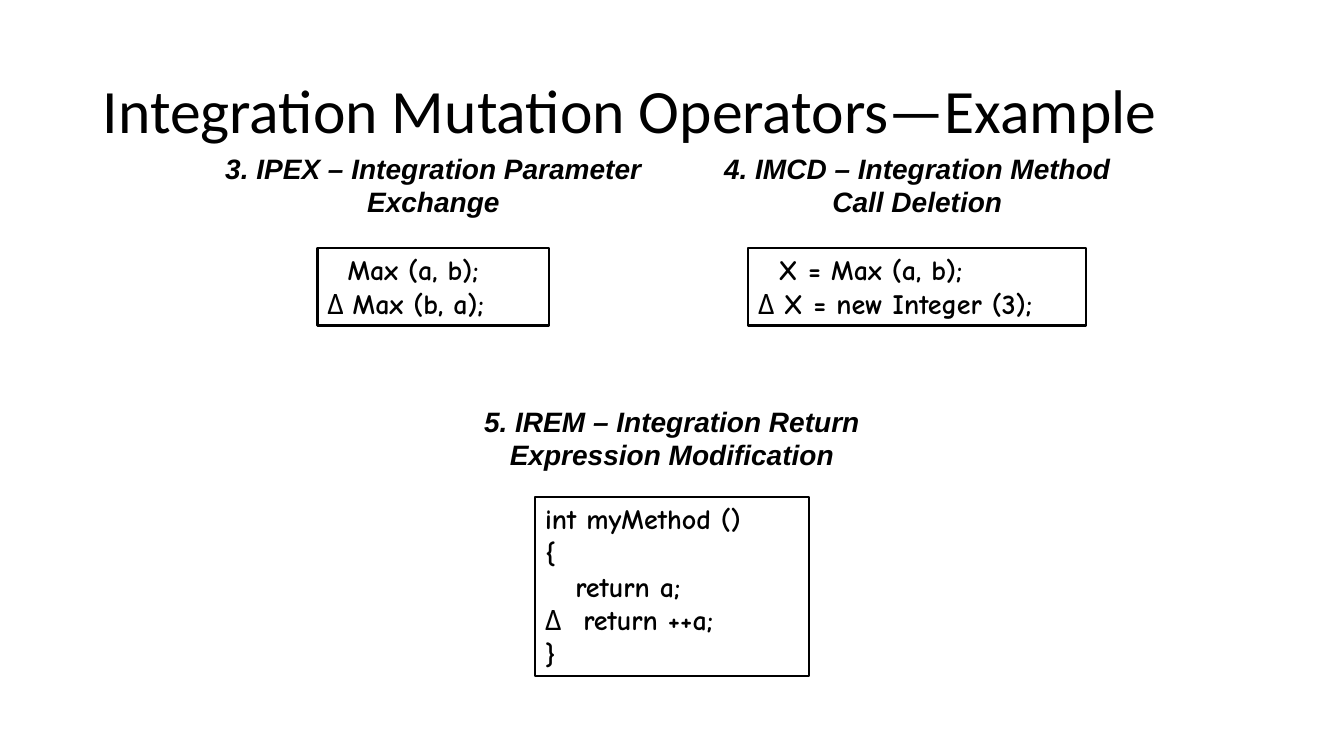
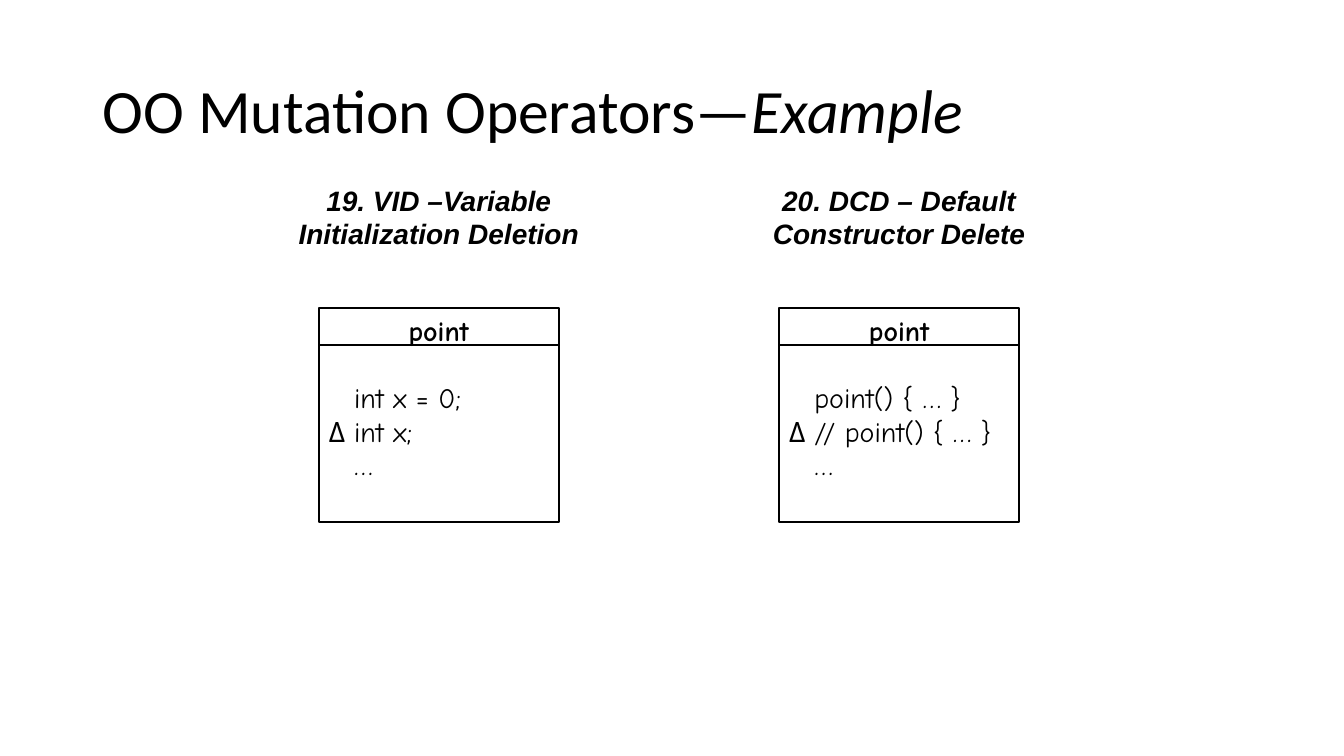
"""Build two slides of mutation operator examples."""
import pptx
import pptx.util
import pptx.dml.color
import pptx.enum.shapes
import pptx.enum.text
import pptx.oxml.ns
import lxml.etree

WIDE = pptx.util.Inches(13.33)
HIGH = pptx.util.Inches(7.5)
HUES = {"ink": "000000"}
ALIGN = pptx.enum.text.PP_ALIGN
ANCHOR = pptx.enum.text.MSO_ANCHOR
FIT = pptx.enum.text.MSO_AUTO_SIZE

TITLE = {"name": "Calibri", "size": pptx.util.Pt(44), "bold": False}
HEAD = {"name": "Arial", "size": pptx.util.Pt(20), "bold": True, "italic": True}
CODE = {"name": "Comic Neue", "size": pptx.util.Pt(20), "bold": True}
PLAIN = {**CODE, "bold": False}
FRAME = {"word_wrap": True, "auto_size": FIT.NONE}
LABEL = 10.27
BAND = 4.8
STEP = 1.88

CALLS = [
    (32.25, 19.33, 33.45, "3. IPEX – Integration Parameter Exchange",
     32.8, 17.25, LABEL,
     [("Max (a, b);", 1.5, ""), ("Max (b, a);", STEP, "Δ")]),
    (68.25, 19.33, 32.55, "4. IMCD – Integration Method Call Deletion",
     32.8, 25.15, LABEL,
     [("X = Max (a, b);", 1.5, ""), ("X = new Integer (3);", STEP, "Δ")]),
    (50, 52.8, 33.45, "5. IREM – Integration Return Expression Modification",
     65.73, 20.35, 23.73,
     [("int myMethod ()", 0, ""), ("{", 0, ""), ("return a;", 2.25, ""),
      ("return ++a;", 2.85, "Δ"), ("}", 0, "")]),
]
TYPES = [
    (32.65, 27.2, "19. VID –Variable Initialization Deletion",
     ["int x = 0;", "int x;"]),
    (66.9, 28.1, "20. DCD – Default Constructor Delete",
     ["point() { … }", "// point() { … }"]),
]


def across(share):
    return round(WIDE * share / 100)


def down(share):
    return round(HIGH * share / 100)


def spot(mid, top, width, height):
    return across(mid - width / 2), down(top), across(width), down(height)


def style(item, form):
    for key, value in form.items():
        setattr(item, key, value)


def tint(name):
    return pptx.dml.color.RGBColor.from_string(HUES[name])


def write(para, text, form):
    run = para.add_run()
    run.text = text
    style(run.font, form)
    run.font.color.rgb = tint("ink")


def title(slide, parts):
    shape = slide.shapes.title
    style(shape, {"left": across(6.9), "top": down(5.33),
                  "width": across(86.25), "height": down(19.33)})
    style(shape.text_frame, {**FRAME, "vertical_anchor": ANCHOR.MIDDLE})
    para = shape.text_frame.paragraphs[0]
    style(para, {"alignment": ALIGN.LEFT, "line_spacing": 0.9})
    for text, slant in parts:
        write(para, text, {**TITLE, "italic": slant})


def head(slide, mid, top, width, text):
    shape = slide.shapes.add_textbox(*spot(mid, top, width, LABEL))
    style(shape.text_frame, FRAME)
    para = shape.text_frame.paragraphs[0]
    para.alignment = ALIGN.CENTER
    write(para, text, HEAD)


def stroke(line):
    line.color.rgb = tint("ink")
    line.width = pptx.util.Pt(1.5)


def box(slide, mid, top, width, height):
    kind = pptx.enum.shapes.MSO_SHAPE.RECTANGLE
    shape = slide.shapes.add_shape(kind, *spot(mid, top, width, height))
    shape.shadow.inherit = False
    shape.fill.background()
    stroke(shape.line)
    style(shape.text_frame, {**FRAME, "vertical_anchor": ANCHOR.TOP})
    return shape.text_frame


def code(frame, rows, form):
    for text, inset, mark in rows:
        first = frame.paragraphs[0]
        para = frame.add_paragraph() if first.runs else first
        para.alignment = ALIGN.LEFT
        props = para._p.get_or_add_pPr()
        props.set("marL", str(across(inset)))
        props.set("indent", str(-across(inset) if mark else 0))
        if mark:
            write(para, mark + "\t", PLAIN)
        write(para, text, form)


def rule(slide, mid, top, width):
    left, level, span, _ = spot(mid, top, width, 0)
    kind = pptx.enum.shapes.MSO_CONNECTOR.STRAIGHT
    line = slide.shapes.add_connector(kind, left, level, left + span, level)
    stroke(line.line)
    props = line._element.spPr
    lxml.etree.SubElement(props, pptx.oxml.ns.qn("a:effectLst"))


def call(slide, mid, top, width, text, start, span, height, rows):
    head(slide, mid, top, width, text)
    code(box(slide, mid, start, span, height), rows, CODE)


def model(slide, mid, width, text, lines, top=40.8, span=17.85):
    head(slide, mid, 23.6, width, text)
    frame = box(slide, mid, top, span, 28.27)
    name = frame.paragraphs[0]
    style(name, {"alignment": ALIGN.CENTER, "space_after": pptx.util.Pt(24)})
    write(name, "point", CODE)
    marks = ["", "Δ", ""]
    code(frame, [(line, STEP, mark) for line, mark in zip(lines + ["…"], marks)],
         PLAIN)
    rule(slide, mid, top + BAND, span)


def page(deck, parts, draw, items):
    slide = deck.slides.add_slide(deck.slide_layouts[5])
    title(slide, parts)
    for item in items:
        draw(slide, *item)


def main():
    deck = pptx.Presentation()
    style(deck, {"slide_width": WIDE, "slide_height": HIGH})
    page(deck, [("Integration Mutation Operators—Example", False)], call, CALLS)
    page(deck, [("OO Mutation Operators—", False), ("Example", True)],
         model, TYPES)
    deck.save("out.pptx")


if __name__ == "__main__":
    main()
